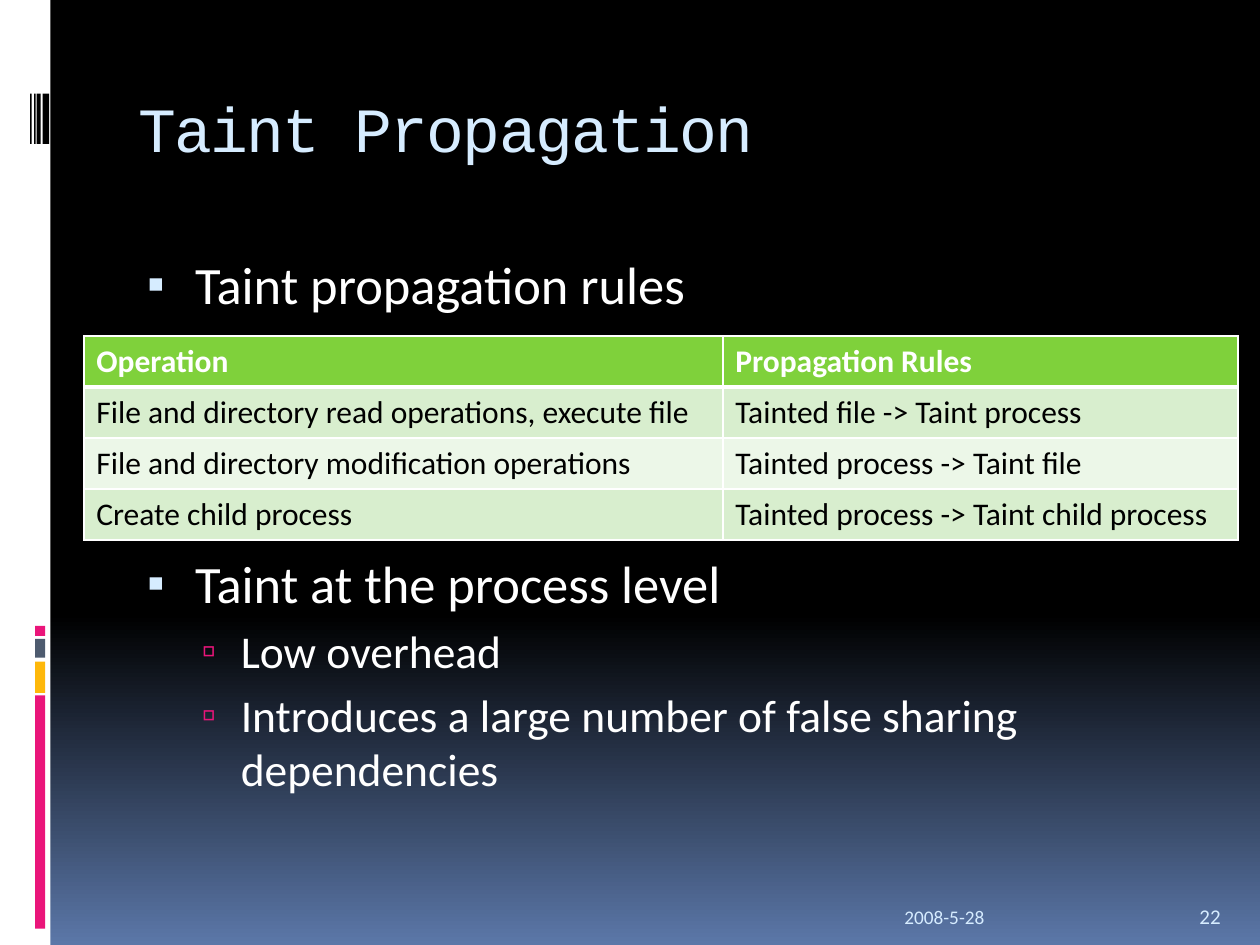
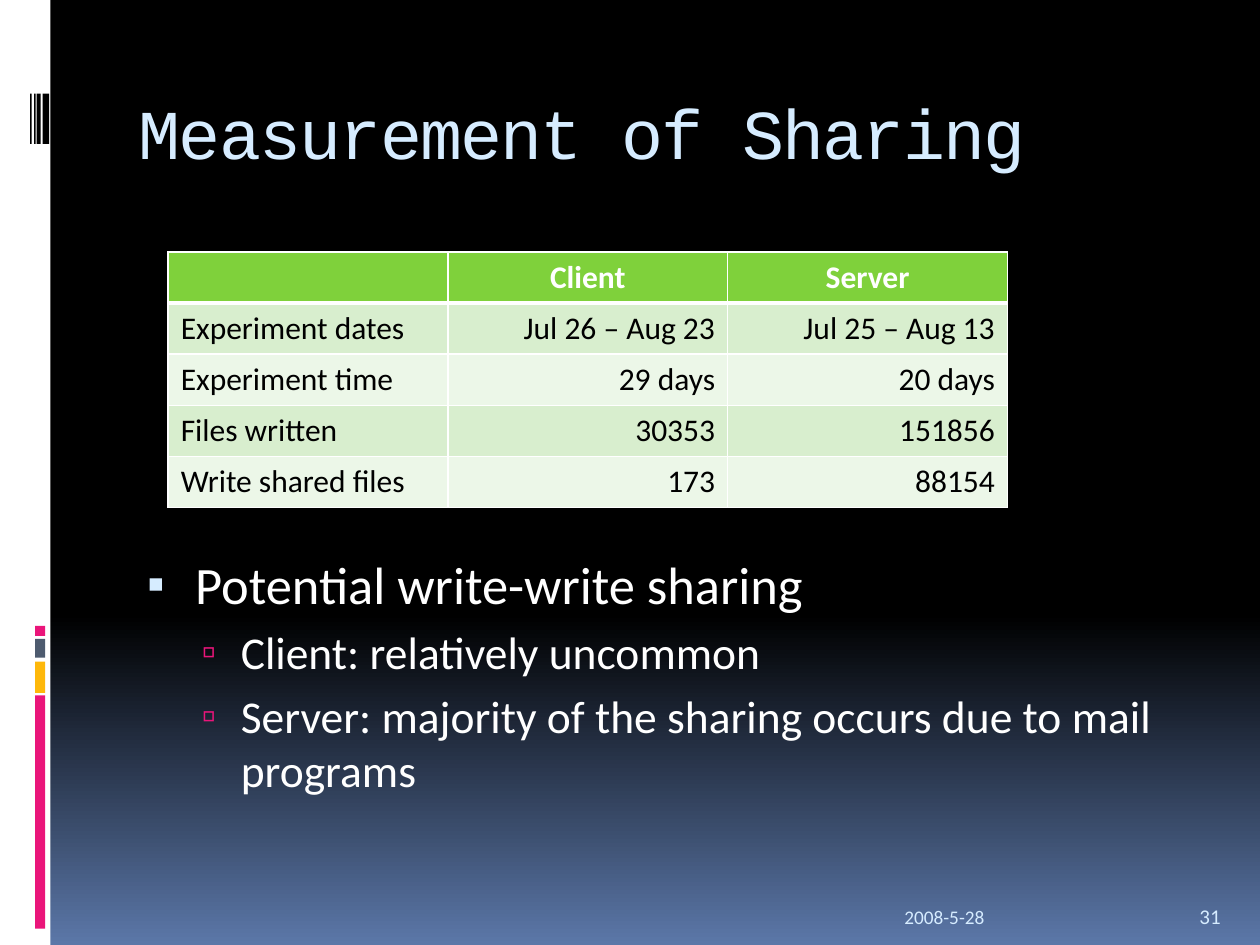
from dataclasses import dataclass

from lxml.etree import SubElement
from pptx import Presentation
from pptx.dml.color import RGBColor
from pptx.enum.shapes import MSO_SHAPE
from pptx.enum.text import MSO_ANCHOR as Anchor, MSO_AUTO_SIZE as AutoSize, PP_ALIGN as Align
from pptx.oxml import parse_xml
from pptx.oxml.ns import nsdecls, qn
from pptx.util import Cm, Pt


@dataclass(frozen=True)
class Theme:
    white: str = "FFFFFF"
    black: str = "000000"
    dusk: str = "5B77A8"
    ice: str = "D6ECFF"
    pink: str = "EA157A"
    amber: str = "FEB80A"
    slate: str = "4E5B6F"
    green: str = "7FD13B"
    bands: tuple = ("D8EECE", "ECF7E8")
    title_font: str = "Courier New"
    body_font: str = "Calibri"
    table_size: float = 18
    date_size: float = 11
    number_size: float = 12


THEME = Theme()
DATE = "2008-5-28"

SLIDES = [
    {
        "title": "Taint Propagation",
        "title_size": 36,
        "number": "22",
        "body_top": 4.95,
        "bullets": [
            (0, "Taint propagation rules", 0),
            (0, "Taint at the process level", 135),
            (1, "Low overhead", 5.2),
            (1, "Introduces a large number of false sharing dependencies", 5.2),
        ],
        "table_at": (1.69, 6.77),
        "columns": [12.88, 10.39],
        "header_align": Align.LEFT,
        "value_align": Align.LEFT,
        "rows": [
            ("Operation", "Propagation Rules"),
            ("File and directory read operations, execute file", "Tainted file -> Taint process"),
            ("File and directory modification operations", "Tainted process -> Taint file"),
            ("Create child process", "Tainted process -> Taint child process"),
        ],
    },
    {
        "title": "Measurement of Sharing",
        "title_size": 40,
        "number": "31",
        "body_top": 11.0,
        "bullets": [
            (0, "Potential write-write sharing", 0),
            (1, "Client: relatively uncommon", 5.2),
            (1, "Server: majority of the sharing occurs due to mail programs", 5.2),
        ],
        "table_at": (3.39, 5.08),
        "columns": [5.64] * 3,
        "header_align": Align.CENTER,
        "value_align": Align.RIGHT,
        "rows": [
            ("", "Client", "Server"),
            ("Experiment dates", "Jul 26 – Aug 23", "Jul 25 – Aug 13"),
            ("Experiment time", "29 days", "20 days"),
            ("Files written", "30353", "151856"),
            ("Write shared files", "173", "88154"),
        ],
    },
]

SIDE_BAND = (0, 0, 1.02, 19.05, THEME.white)
COLOUR_BARS = [(0.71, top, 0.2, height, colour) for top, height, colour in [
    (14.02, 4.7, THEME.pink),
    (13.34, 0.63, THEME.amber),
    (12.88, 0.38, THEME.slate),
    (12.62, 0.2, THEME.pink),
]]
BARCODE = [(left, 1.89, width, 1.01, THEME.black)
           for left, width in [(0.86, 0.13), (0.74, 0.08), (0.69, 0.03), (0.61, 0.03)]]

LEVELS = [
    {"size": 30, "left": 1.14, "hang": 0.97, "mark": "▪", "colour": THEME.ice, "percent": 95},
    {"size": 26, "left": 2.06, "hang": 0.79, "mark": "▫", "colour": THEME.pink, "percent": 90},
]
BODY_LEFT, BODY_WIDTH, BODY_BOTTOM = 2.54, 21.59, 17.65
ROW_HEIGHT = 1.03


def rgb(colour):
    return RGBColor.from_string(colour)


def place(part, left, top, width, height):
    part.left, part.top, part.width, part.height = map(Cm, (left, top, width, height))


def write(paragraph, text, size, colour, font=THEME.body_font, bold=False):
    run = paragraph.add_run()
    run.text = text
    run.font.name, run.font.size, run.font.bold = font, Pt(size), bold
    run.font.color.rgb = rgb(colour)
    return run


def paint_master(master, slide):
    backdrop = master.background.fill
    backdrop.gradient()
    backdrop.gradient_angle = 270
    middle, end = backdrop.gradient_stops
    middle.position, end.position = 0.65, 1
    middle.color.rgb, end.color.rgb = rgb(THEME.black), rgb(THEME.dusk)
    stops = master.element.find(".//" + qn("a:gsLst"))
    stops.insert(0, parse_xml(
        f'<a:gs {nsdecls("a")} pos="0"><a:srgbClr val="{THEME.black}"/></a:gs>'))
    for order, (*box, colour) in enumerate([SIDE_BAND, *COLOUR_BARS, *BARCODE]):
        bar = slide.shapes.add_shape(MSO_SHAPE.RECTANGLE, *map(Cm, box))
        bar.shadow.inherit = False
        bar.fill.solid()
        bar.fill.fore_color.rgb = rgb(colour)
        bar.line.fill.background()
        bar.element.nvSpPr.cNvPr.id = 100 + order
        master.shapes.element.append(bar.element)


def add_title(slide, text, size):
    title = slide.shapes.title
    place(title, BODY_LEFT, 1.42, BODY_WIDTH, 2.54)
    frame = title.text_frame
    frame.auto_size, frame.vertical_anchor = AutoSize.NONE, Anchor.TOP
    frame.margin_top = Cm(0.38)
    heading = frame.paragraphs[0]
    heading.alignment = Align.LEFT
    run = write(heading, text, size, THEME.ice, THEME.title_font)
    run.font._element.set("spc", "-100")


def add_bullets(slide, bullets, top):
    body = slide.placeholders[1]
    place(body, BODY_LEFT, top, BODY_WIDTH, BODY_BOTTOM - top)
    frame = body.text_frame
    frame.auto_size, frame.vertical_anchor = AutoSize.NONE, Anchor.TOP
    for order, (depth, text, gap) in enumerate(bullets):
        level = LEVELS[depth]
        item = frame.add_paragraph() if order else frame.paragraphs[0]
        item.level, item.space_before = depth, Pt(gap)
        write(item, text, level["size"], THEME.white)
        props = item._p.get_or_add_pPr()
        props.set("marL", str(Cm(level["left"])))
        props.set("indent", str(-Cm(level["hang"])))
        SubElement(SubElement(props, qn("a:buClr")), qn("a:srgbClr")).set("val", level["colour"])
        SubElement(props, qn("a:buSzPct")).set("val", str(level["percent"] * 1000))
        SubElement(props, qn("a:buChar")).set("char", level["mark"])


def rule_cell(cell, row):
    widths = {"L": 1, "R": 1, "T": 3 if row == 1 else 1, "B": 3 if row == 0 else 1}
    props = cell._tc.get_or_add_tcPr()
    for side, width in widths.items():
        edge = SubElement(props, qn(f"a:ln{side}"), w=str(Pt(width)))
        SubElement(SubElement(edge, qn("a:solidFill")), qn("a:srgbClr")).set("val", THEME.white)


def add_grid(slide, content):
    rows, columns = content["rows"], content["columns"]
    left, top = content["table_at"]
    grid = slide.shapes.add_table(
        len(rows), len(columns), Cm(left), Cm(top),
        Cm(sum(columns)), Cm(ROW_HEIGHT * len(rows))).table
    for column, width in zip(grid.columns, columns):
        column.width = Cm(width)
    for r, texts in enumerate(rows):
        header = r == 0
        grid.rows[r].height = Cm(ROW_HEIGHT)
        for c, text in enumerate(texts):
            cell = grid.cell(r, c)
            rule_cell(cell, r)
            cell.fill.solid()
            cell.fill.fore_color.rgb = rgb(THEME.green if header else THEME.bands[(r - 1) % 2])
            line = cell.text_frame.paragraphs[0]
            if header:
                line.alignment = content["header_align"]
            else:
                line.alignment = content["value_align"] if c else Align.LEFT
            if text:
                write(line, text, THEME.table_size, THEME.white if header else THEME.black,
                      bold=header)


def add_footer(slide, number):
    for left, width, text, size in [(17.98, 5.92, DATE, THEME.date_size),
                                    (23.93, 1.27, number, THEME.number_size)]:
        footer = slide.shapes.add_textbox(Cm(left), Cm(17.83), Cm(width), Cm(1.02)).text_frame
        footer.word_wrap, footer.vertical_anchor = True, Anchor.BOTTOM
        write(footer.paragraphs[0], text, size, THEME.ice)


def main():
    deck = Presentation()
    deck.slide_width, deck.slide_height = Cm(25.4), Cm(19.05)
    for order, content in enumerate(SLIDES):
        slide = deck.slides.add_slide(deck.slide_layouts[1])
        if order == 0:
            paint_master(deck.slide_master, slide)
        add_title(slide, content["title"], content["title_size"])
        add_bullets(slide, content["bullets"], content["body_top"])
        add_grid(slide, content)
        add_footer(slide, content["number"])
    deck.save("out.pptx")


if __name__ == "__main__":
    main()
